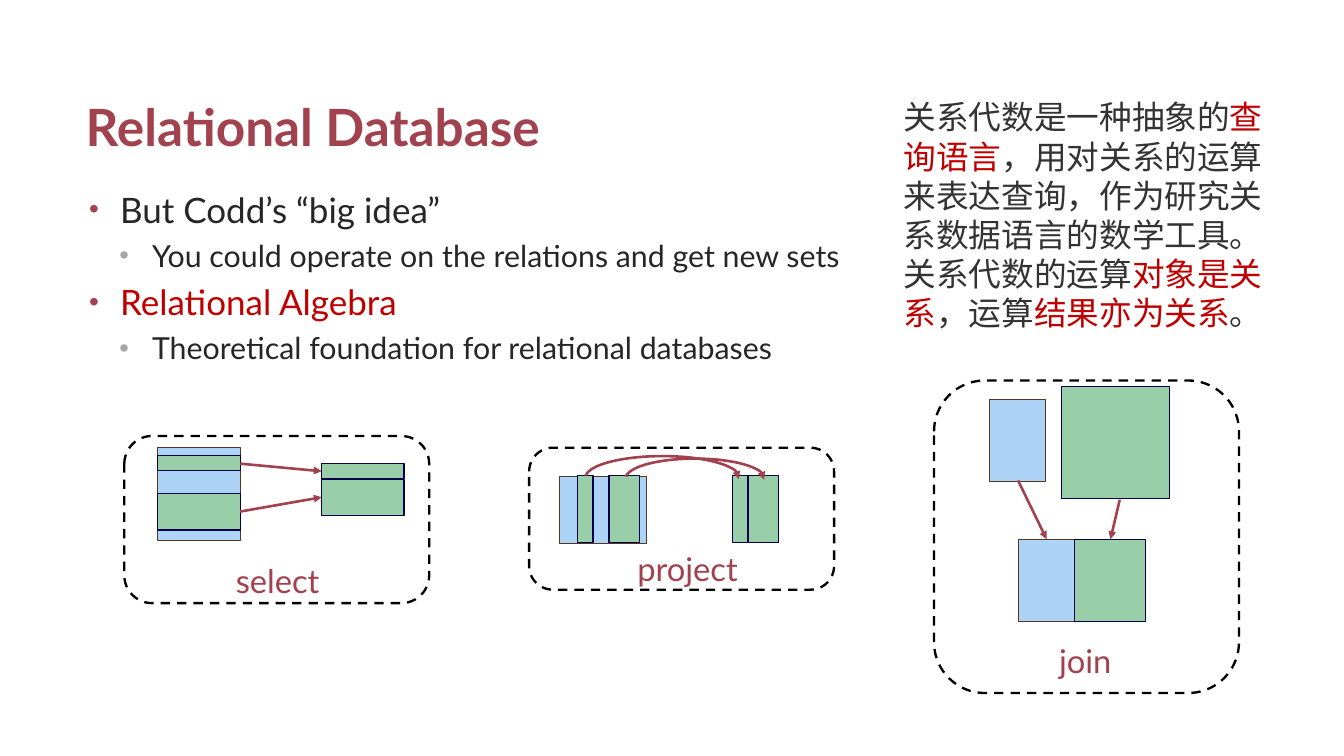
"""Build the slide on relational databases and the three relational operations."""
from dataclasses import dataclass
from typing import Any

from lxml import etree
from pptx import Presentation, util as u
from pptx.dml import color
from pptx.enum import dml, shapes, text
from pptx.oxml import ns

COLORS = {
    "accent": "A2424F", "ink": "262626", "note": "333333", "key": "C00000",
    "bullet": "A6A6A6", "blue": "ADD3F7", "brown": "56391C",
    "green": "98CFA8", "navy": "00004D", "black": "000000",
}
STYLES = {"blue": ("brown", 0.75), "green": ("navy", 1)}


@dataclass
class Box:
    x: float
    y: float
    w: float
    h: float


@dataclass
class Block(Box):
    fill: str


@dataclass
class Label(Box):
    words: str
    wrap: bool = False


@dataclass
class Arrow:
    x1: float
    y1: float
    x2: float
    y2: float


@dataclass
class Bullet:
    words: str
    level: int
    ink: str = "ink"


@dataclass
class Level:
    size: int
    margin: float
    hang: float
    mark: str
    scale: int


LEVELS = [Level(30, 0.37, 0.37, "accent", 80), Level(26, 0.75, 0.39, "bullet", 90)]
BULLETS = [
    Bullet("But Codd’s “big idea”", 0),
    Bullet("You could operate on the relations and get new sets", 1),
    Bullet("Relational Algebra", 0, "key"),
    Bullet("Theoretical foundation for relational databases", 1),
]
BLOCKS = [
    Block(1.88, 5.33, 0.98, 1.1, "blue"),
    Block(6.66, 5.67, 1.04, 0.8, "blue"),
    Block(11.78, 4.75, 0.67, 0.98, "blue"),
    Block(12.64, 4.6, 1.28, 1.34, "green"),
]
BLOCKS += [Block(x, y, 0.98, h, "green") for x, y, h in
           [(1.88, 5.42, 0.18), (1.88, 5.88, 0.43), (3.83, 5.52, 0.18), (3.83, 5.71, 0.43)]]
BLOCKS += [Block(x, 5.66, w, 0.8, "green") for x, w in
           [(6.88, 0.18), (7.25, 0.36), (8.72, 0.18), (8.91, 0.36)]]
JOINED = [Block(12.12, 6.42, 0.67, 0.98, "blue"), Block(12.79, 6.42, 0.85, 0.98, "green")]
FRAMES = [Box(1.48, 5.19, 3.63, 1.99), Box(6.3, 5.33, 3.63, 1.69), Box(11.12, 4.53, 3.63, 3.72)]
LABELS = [
    Label(2.61, 6.63, 1.39, 0.57, "select", True),
    Label(7.49, 6.49, 1.43, 0.57, "project"),
    Label(12.51, 7.58, 0.84, 0.57, "join"),
]
ARROWS = [
    Arrow(2.86, 5.52, 3.83, 5.61), Arrow(2.86, 6.09, 3.83, 5.92),
    Arrow(13.33, 5.95, 13.22, 6.42), Arrow(12.12, 5.72, 12.46, 6.42),
]
ARCS = [Box(7.45, 5.46, 1.65, 0.47), Box(6.97, 5.43, 1.83, 0.51)]
NOTE = [
    ("关系代数是一种抽象的", "note"), ("查询语言", "key"),
    ("，用对关系的运算来表达查询，作为研究关系数据语言的数学工具。关系代数的运算", "note"),
    ("对象是关系", "key"), ("，运算", "note"), ("结果亦为关系", "key"), ("。", "note"),
]


def rgb(name: str) -> color.RGBColor:
    return color.RGBColor.from_string(COLORS[name])


def apply(target: Any, values: dict[str, Any]) -> None:
    for key, value in values.items():
        setattr(target, key, value)


def place(b: Box) -> list[int]:
    return [u.Inches(v) for v in (b.x, b.y, b.w, b.h)]


def child(parent: Any, tag: str, **attrs: str) -> Any:
    return etree.SubElement(parent, ns.qn(tag), attrs)


def write(p: Any, words: str, size: float, ink: str, name: str = "Lato", bold: bool = False) -> Any:
    r = p.add_run()
    r.text = words
    apply(r.font, {"size": u.Pt(size), "name": name, "bold": bold})
    r.font.color.rgb = rgb(ink)
    return r


def add_text(sps: Any, b: Box, wrap: bool = True) -> Any:
    tf = sps.add_textbox(*place(b)).text_frame
    tf.word_wrap = wrap
    return tf


def add_shape(sps: Any, kind: Any, b: Box, line: str, width: float, fill: str = "") -> Any:
    sp = sps.add_shape(kind, *place(b))
    sp.shadow.inherit = False
    if fill:
        sp.fill.solid()
        sp.fill.fore_color.rgb = rgb(fill)
    else:
        sp.fill.background()
    sp.line.color.rgb = rgb(line)
    sp.line.width = u.Pt(width)
    return sp


def add_block(sps: Any, b: Block) -> None:
    add_shape(sps, shapes.MSO_SHAPE.RECTANGLE, b, *STYLES[b.fill], b.fill)


def add_head(sp: Any) -> None:
    child(sp.line._get_or_add_ln(), "a:tailEnd", type="triangle")


def add_arrow(sps: Any, a: Arrow) -> None:
    ends = [u.Inches(v) for v in (a.x1, a.y1, a.x2, a.y2)]
    sp = sps.add_connector(shapes.MSO_CONNECTOR.STRAIGHT, *ends)
    sp.line.color.rgb = rgb("accent")
    sp.line.width = u.Pt(2.25)
    add_head(sp)
    child(sp._element.spPr, "a:effectLst")


def add_bullet(p: Any, item: Bullet) -> None:
    level = LEVELS[item.level]
    apply(p, {"level": item.level, "space_before": u.Pt(4), "space_after": u.Pt(2)})
    pPr = p._p.get_or_add_pPr()
    pPr.set("marL", str(u.Inches(level.margin)))
    pPr.set("indent", str(-u.Inches(level.hang)))
    child(child(pPr, "a:buClr"), "a:srgbClr", val=COLORS[level.mark])
    child(pPr, "a:buSzPct", val=str(level.scale * 1000))
    child(pPr, "a:buFont", typeface="Arial")
    child(pPr, "a:buChar", char="•")
    write(p, item.words, level.size, item.ink)


def main() -> None:
    prs = Presentation()
    apply(prs, {"slide_width": u.Inches(16), "slide_height": u.Inches(9)})
    s = prs.slides.add_slide(prs.slide_layouts[5])
    sps = s.shapes

    title = sps.title
    apply(title, dict(zip(("left", "top", "width", "height"), place(Box(0.92, 0.36, 14.17, 1.56)))))
    apply(title.text_frame, {"vertical_anchor": text.MSO_ANCHOR.BOTTOM, "word_wrap": True,
                             "auto_size": text.MSO_AUTO_SIZE.NONE})
    p = title.text_frame.paragraphs[0]
    p.alignment = text.PP_ALIGN.LEFT
    write(p, "Relational Database", 44, "accent", bold=True)

    tf = add_text(sps, Box(0.92, 2.17, 14.17, 5.83))
    apply(tf, {"margin_left": u.Inches(0.14), "margin_right": u.Inches(0.14),
               "margin_top": u.Inches(0.07), "margin_bottom": u.Inches(0.07)})
    for i, item in enumerate(BULLETS):
        add_bullet(tf.add_paragraph() if i else tf.paragraphs[0], item)
    tf.paragraphs[0].space_before = u.Pt(0)

    for b in BLOCKS:
        add_block(sps, b)
    group = sps.add_group_shape()
    for b in JOINED:
        add_block(group.shapes, b)
    for b in FRAMES:
        sp = add_shape(sps, shapes.MSO_SHAPE.ROUNDED_RECTANGLE, b, "black", 2)
        sp.line.dash_style = dml.MSO_LINE.DASH
    for label in LABELS:
        p = add_text(sps, label, label.wrap).paragraphs[0]
        p.alignment = text.PP_ALIGN.CENTER if label.wrap else text.PP_ALIGN.LEFT
        write(p, label.words, 28, "accent")
    for a in ARROWS:
        add_arrow(sps, a)
    for b in ARCS:
        sp = add_shape(sps, shapes.MSO_SHAPE.ARC, b, "accent", 2.25)
        sp.adjustments[0], sp.adjustments[1] = 108.8, 0.69
        add_head(sp)

    p = add_text(sps, Box(10.66, 1.11, 4.55, 2.93)).paragraphs[0]
    p.line_spacing = u.Pt(33.6)
    for words, ink in NOTE:
        r = write(p, words, 28, ink, "Noto Sans CJK SC")
        child(r.font._element, "a:ea", typeface="Noto Sans CJK SC")
    prs.save("out.pptx")


if __name__ == "__main__":
    main()
